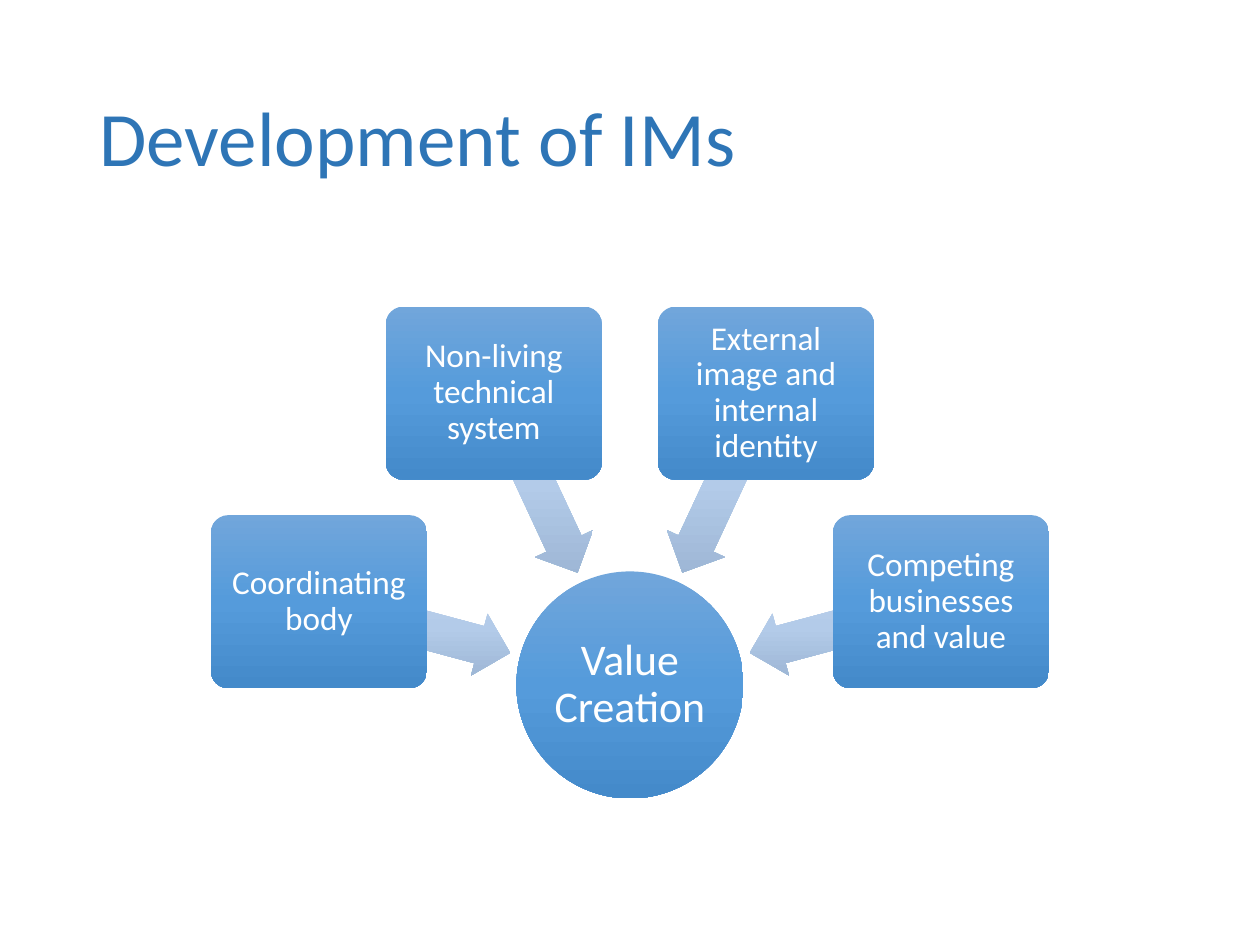
from math import cos, radians, sin

from lxml.etree import SubElement
from pptx import Presentation
from pptx.dml.color import RGBColor
from pptx.enum.shapes import MSO_SHAPE
from pptx.enum.text import MSO_ANCHOR, PP_ALIGN
from pptx.oxml.ns import qn
from pptx.util import Pt

PX = 914400 // 126
SLIDE_SIZE = (1260, 945)

TITLE = "Development of IMs"
TITLE_BOX = (87, 50, 1086, 183)
HUB = "Value Creation"
FACTORS = [
    ("Coordinating body", 195),
    ("Non-living technical system", 245),
    ("External image and internal identity", 295),
    ("Competing businesses and value", 345),
]

FONT = "Calibri"
TITLE_COLOR = "2E75B6"
WHITE = "FFFFFF"
NODE_GRADIENT = ("71A6DB", "559BDB", "448ACA")
ARROW_GRADIENT = ("C0D2EB", "B3CBE9", "9BB4D3")

CENTER = (630, 685)
HUB_SIZE = (227, 227)
BOX_SIZE = (216, 173)
ARROW_SIZE = (198, 64)
BOX_RADIUS = 322
ARROW_RADIUS = 223


def orbit(radius, angle):
    """Point on a circle around the hub, angle clockwise from the right."""
    x, y = CENTER
    return x + radius * cos(radians(angle)), y + radius * sin(radians(angle))


def fill_gradient(shape, colors):
    """Fill from top to bottom with even stops that stay upright on rotation."""
    shape.fill.gradient()
    gradient = shape.fill._xPr.find(qn("a:gradFill"))
    gradient.set("rotWithShape", "0")
    for child in list(gradient):
        gradient.remove(child)
    stops = SubElement(gradient, qn("a:gsLst"))
    for index, color in enumerate(colors):
        position = 100000 * index // (len(colors) - 1)
        stop = SubElement(stops, qn("a:gs"), pos=str(position))
        SubElement(stop, qn("a:srgbClr"), val=color)
    SubElement(gradient, qn("a:lin"), ang="5400000", scaled="0")


def add_centered(slide, preset, center, size, colors):
    (x, y), (width, height) = center, size
    bounds = (x - width / 2, y - height / 2, width, height)
    shape = slide.shapes.add_shape(preset, *(round(v * PX) for v in bounds))
    shape.shadow.inherit = False
    shape.line.fill.background()
    fill_gradient(shape, colors)
    return shape


def write(shape, text, size, color, alignment):
    frame = shape.text_frame
    frame.text = text
    frame.word_wrap = True
    frame.vertical_anchor = MSO_ANCHOR.MIDDLE
    paragraph = frame.paragraphs[0]
    paragraph.alignment = alignment
    paragraph.line_spacing = 0.9
    font = paragraph.runs[0].font
    font.name = FONT
    font.size = Pt(size)
    font.color.rgb = RGBColor.from_string(color)


def write_node(shape, text, size, inset):
    write(shape, text, size, WHITE, PP_ALIGN.CENTER)
    frame = shape.text_frame
    frame.margin_left = frame.margin_right = inset * PX
    frame.margin_top = frame.margin_bottom = inset * PX


def main():
    deck = Presentation()
    deck.slide_width, deck.slide_height = (v * PX for v in SLIDE_SIZE)
    slide = deck.slides.add_slide(deck.slide_layouts[5])

    title = slide.shapes.title
    title.left, title.top, title.width, title.height = (v * PX for v in TITLE_BOX)
    write(title, TITLE, 44, TITLE_COLOR, PP_ALIGN.LEFT)

    hub = add_centered(slide, MSO_SHAPE.OVAL, CENTER, HUB_SIZE, NODE_GRADIENT)
    write_node(hub, HUB, 25, 3)

    for factor, angle in FACTORS:
        arrow = add_centered(slide, MSO_SHAPE.LEFT_ARROW, orbit(ARROW_RADIUS, angle),
                             ARROW_SIZE, ARROW_GRADIENT)
        arrow.adjustments[0] = 0.6
        arrow.adjustments[1] = 0.5
        arrow.rotation = angle

        box = add_centered(slide, MSO_SHAPE.ROUNDED_RECTANGLE, orbit(BOX_RADIUS, angle),
                           BOX_SIZE, NODE_GRADIENT)
        box.adjustments[0] = 0.1
        write_node(box, factor, 19, 5)

    deck.save("out.pptx")


if __name__ == "__main__":
    main()
